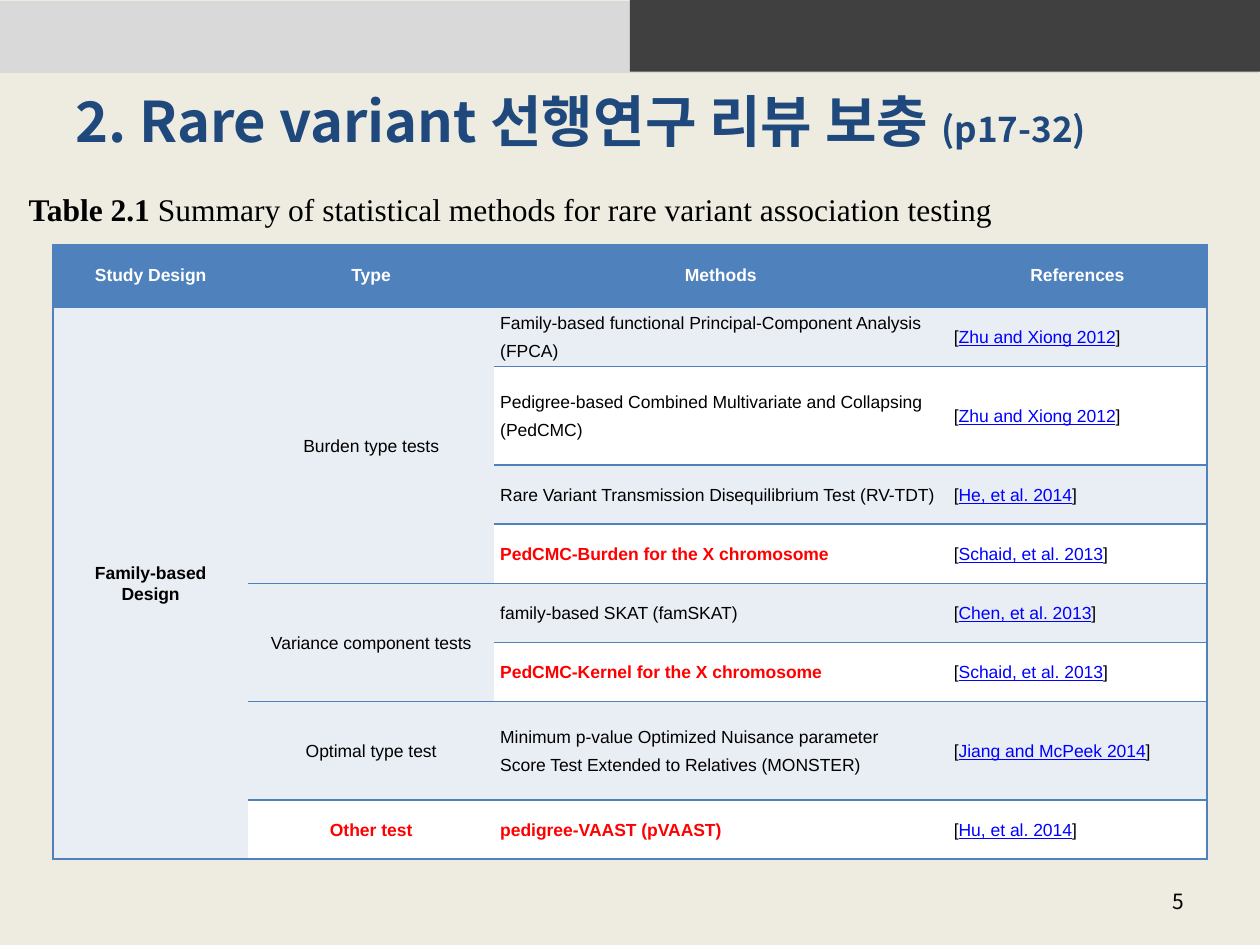
from dataclasses import dataclass
from typing import NamedTuple, Optional

from lxml import etree
from pptx import Presentation
from pptx import util as u
from pptx.dml.color import RGBColor
from pptx.enum import shapes, text
from pptx.oxml import ns

Inches, Pt = u.Inches, u.Pt
ALIGN, ANCHOR = text.PP_ALIGN, text.MSO_ANCHOR


@dataclass(frozen=True)
class Theme:
    page: str = "EEECE1"
    light_bar: str = "D9D9D9"
    dark_bar: str = "404040"
    title: str = "1F497D"
    accent: str = "4F81BD"
    band: str = "E9EDF4"
    white: str = "FFFFFF"
    ink: str = "000000"
    alert: str = "FF0000"
    link: str = "0000FF"
    heading_font: str = "Noto Sans CJK KR"
    caption_font: str = "Times New Roman"
    table_font: str = "Arial"
    title_size: float = 32
    pages_size: float = 20
    caption_size: float = 18
    number_size: float = 12
    table_size: float = 10


THEME = Theme()


class Method(NamedTuple):
    lines: list[str]
    reference: str
    height: float = 0.47
    red: bool = False


class Group(NamedTuple):
    name: str
    methods: list[Method]
    red: bool = False


class Bar(NamedTuple):
    left: float
    top: float
    width: float
    color: str


BARS = [Bar(0, 0.01, 9.99, THEME.light_bar), Bar(5, 0, 5, THEME.dark_bar)]
HEADERS = ["Study Design", "Type", "Methods", "References"]
WIDTHS = [1.55, 1.95, 3.6, 2.06]
HEADER_HEIGHT = 0.5
GROUPS = [
    Group("Burden type tests", [
        Method(["Family-based functional Principal-Component Analysis ", "(FPCA)"],
               "Zhu and Xiong 2012"),
        Method(["Pedigree-based Combined Multivariate and Collapsing ", "(PedCMC)"],
               "Zhu and Xiong 2012", 0.78),
        Method(["Rare Variant Transmission Disequilibrium Test (RV-TDT)"],
               "He, et al. 2014"),
        Method(["PedCMC-Burden for the X chromosome"], "Schaid, et al. 2013", red=True),
    ]),
    Group("Variance component tests", [
        Method(["family-based SKAT (famSKAT)"], "Chen, et al. 2013"),
        Method(["PedCMC-Kernel for the X chromosome"], "Schaid, et al. 2013", red=True),
    ]),
    Group("Optimal type test", [
        Method(["Minimum p-value Optimized Nuisance parameter ",
                "Score Test Extended to Relatives (MONSTER)"],
               "Jiang and McPeek 2014", 0.78),
    ]),
    Group("Other test", [
        Method(["pedigree-VAAST (pVAAST)"], "Hu, et al. 2014", red=True),
    ], red=True),
]


def add_text(para, words: str, *, size: float = THEME.table_size,
             font: str = THEME.table_font, color: str = THEME.ink,
             bold: bool = False, underline: bool = False) -> None:
    for index, line in enumerate(words.split("\n")):
        if index:
            para.add_line_break()
        span = para.add_run()
        span.text = line
        span.font.size = Pt(size)
        span.font.name = font
        span.font.bold = bold
        span.font.underline = underline
        span.font.color.rgb = RGBColor.from_string(color)
        east = etree.SubElement(span._r.get_or_add_rPr(), ns.qn("a:ea"))
        east.set("typeface", font)


def add_box(page, left: float, top: float, width: float, height: float,
            align=ALIGN.LEFT, anchor=ANCHOR.TOP):
    box = page.shapes.add_textbox(Inches(left), Inches(top), Inches(width), Inches(height))
    box.text_frame.word_wrap = True
    box.text_frame.vertical_anchor = anchor
    para = box.text_frame.paragraphs[0]
    para.alignment = align
    return para


def add_bar(page, bar: Bar) -> None:
    shape = page.shapes.add_shape(shapes.MSO_SHAPE.RECTANGLE, Inches(bar.left),
                                  Inches(bar.top), Inches(bar.width), Inches(0.57))
    shape.shadow.inherit = False
    shape.fill.solid()
    shape.fill.fore_color.rgb = RGBColor.from_string(bar.color)
    shape.line.fill.background()


def style_cell(cell, fill: str, left: bool, right: bool) -> None:
    properties = cell._tc.get_or_add_tcPr()
    for side, visible in (("L", left), ("R", right), ("T", True), ("B", True)):
        line = etree.SubElement(properties, ns.qn(f"a:ln{side}"), w=str(Pt(1)))
        if visible:
            solid = etree.SubElement(line, ns.qn("a:solidFill"))
            etree.SubElement(solid, ns.qn("a:srgbClr"), val=THEME.accent)
        else:
            etree.SubElement(line, ns.qn("a:noFill"))
    cell.fill.solid()
    cell.fill.fore_color.rgb = RGBColor.from_string(fill)
    cell.vertical_anchor = ANCHOR.MIDDLE
    cell.margin_left = cell.margin_right = Inches(0.05)
    cell.margin_top = cell.margin_bottom = 0


def cell_para(cell, align, first: bool = True, spacing: Optional[float] = 12):
    para = cell.text_frame.paragraphs[0] if first else cell.text_frame.add_paragraph()
    para.alignment = align
    para.space_after = Pt(4)
    if spacing:
        para.line_spacing = Pt(spacing)
    return para


def add_methods_table(page) -> None:
    methods = [method for group in GROUPS for method in group.methods]
    heights = [HEADER_HEIGHT] + [method.height for method in methods]
    frame = page.shapes.add_table(len(heights), len(WIDTHS), Inches(0.42), Inches(1.94),
                                  Inches(sum(WIDTHS)), Inches(sum(heights)))
    table = frame.table
    table.horz_banding = False
    for column, width in zip(table.columns, WIDTHS):
        column.width = Inches(width)
    for row, height in zip(table.rows, heights):
        row.height = Inches(height)

    last = len(WIDTHS) - 1
    for index in range(len(heights)):
        for column in range(len(WIDTHS)):
            fill = THEME.accent if index == 0 else THEME.band if index % 2 else THEME.white
            style_cell(table.cell(index, column), fill, column == 0, column == last)

    for column, name in enumerate(HEADERS):
        para = cell_para(table.cell(0, column), ALIGN.CENTER, spacing=None)
        add_text(para, name, color=THEME.white, bold=True)

    design = table.cell(1, 0)
    design.merge(table.cell(len(methods), 0))
    add_text(cell_para(design, ALIGN.CENTER), "Family-based\nDesign", bold=True)

    index = 1
    for group in GROUPS:
        kind = table.cell(index, 1)
        if len(group.methods) > 1:
            kind.merge(table.cell(index + len(group.methods) - 1, 1))
        add_text(cell_para(kind, ALIGN.CENTER), group.name, bold=group.red,
                 color=THEME.alert if group.red else THEME.ink)
        for method in group.methods:
            for number, line in enumerate(method.lines):
                para = cell_para(table.cell(index, 2), ALIGN.JUSTIFY, number == 0)
                add_text(para, line, bold=method.red,
                         color=THEME.alert if method.red else THEME.ink)
            para = cell_para(table.cell(index, 3), ALIGN.JUSTIFY)
            add_text(para, "[")
            add_text(para, method.reference, color=THEME.link, underline=True)
            add_text(para, "]")
            index += 1


deck = Presentation()
deck.slide_width, deck.slide_height = Inches(10), Inches(7.5)
page = deck.slides.add_slide(deck.slide_layouts[6])
page.background.fill.solid()
page.background.fill.fore_color.rgb = RGBColor.from_string(THEME.page)

for bar in BARS:
    add_bar(page, bar)

title = add_box(page, 0.5, 0.68, 9, 0.55, ALIGN.JUSTIFY, ANCHOR.MIDDLE)
heading = dict(font=THEME.heading_font, color=THEME.title, bold=True)
add_text(title, "2. Rare variant 선행연구 리뷰 보충 ", size=THEME.title_size, **heading)
add_text(title, "(p17-32)", size=THEME.pages_size, **heading)

number = add_box(page, 7.17, 6.95, 2.33, 0.4, ALIGN.RIGHT, ANCHOR.MIDDLE)
add_text(number, "5", size=THEME.number_size, font=THEME.heading_font)

add_methods_table(page)

caption = add_box(page, 0.13, 1.46, 9.77, 0.4)
serif = dict(size=THEME.caption_size, font=THEME.caption_font)
add_text(caption, "Table 2.1", bold=True, **serif)
add_text(caption, " Summary of statistical methods for rare variant association testing", **serif)

deck.save("out.pptx")
